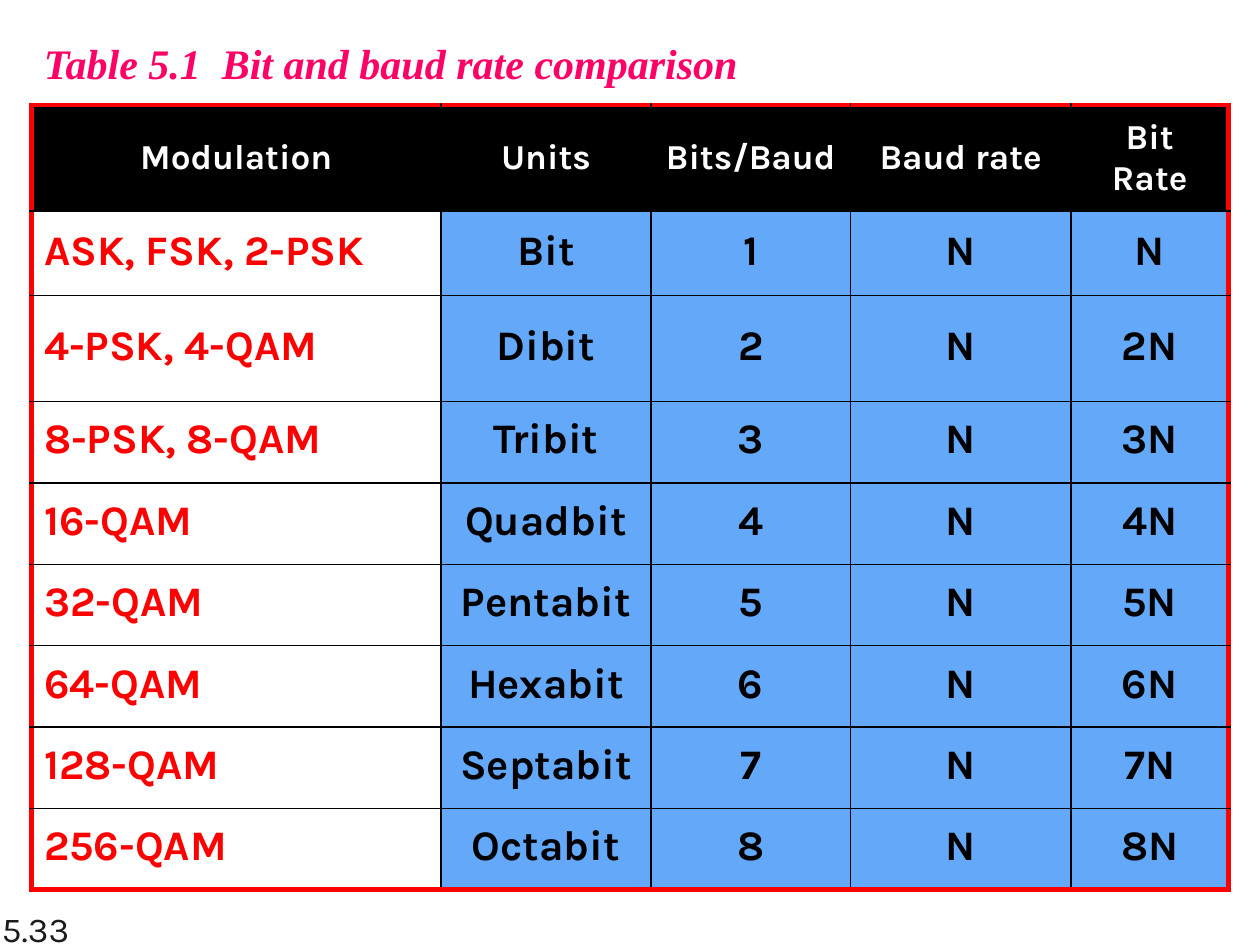
from dataclasses import dataclass

from lxml.etree import SubElement
from pptx import Presentation
from pptx.dml.color import RGBColor
from pptx.enum.text import MSO_ANCHOR, PP_ALIGN
from pptx.oxml.ns import qn
from pptx.util import Pt

BLACK = RGBColor(0x00, 0x00, 0x00)
WHITE = RGBColor(0xFF, 0xFF, 0xFF)
RED = RGBColor(0xFF, 0x00, 0x00)
BLUE = RGBColor(0x64, 0xA8, 0xFA)
PINK = RGBColor(0xFF, 0x00, 0x66)
CHARCOAL = RGBColor(0x1C, 0x1C, 0x1C)

HEADINGS = ("Modulation", "Units", "Bits/Baud", "Baud rate", "Bit Rate")
MODULATIONS = (
    ("ASK, FSK, 2-PSK", "Bit"),
    ("4-PSK, 4-QAM", "Dibit"),
    ("8-PSK, 8-QAM", "Tribit"),
    ("16-QAM", "Quadbit"),
    ("32-QAM", "Pentabit"),
    ("64-QAM", "Hexabit"),
    ("128-QAM", "Septabit"),
    ("256-QAM", "Octabit"),
)
COLUMN_WIDTHS = (234, 120, 114, 126, 90)
ROW_HEIGHTS = (60.5, 48.5, 60.5) + (46.5,) * 6


@dataclass(frozen=True)
class TextStyle:
    size: float
    color: RGBColor
    font: str = "Karla"
    bold: bool = False
    italic: bool = False


@dataclass(frozen=True)
class CellStyle:
    text: TextStyle
    fill: RGBColor
    align: PP_ALIGN = PP_ALIGN.CENTER
    line_spacing: float = 0.8


@dataclass(frozen=True)
class Caption:
    text: str
    left: float
    top: float
    width: float
    height: float
    style: TextStyle
    anchor: MSO_ANCHOR
    wrap: bool


HEADING = CellStyle(TextStyle(20, WHITE, bold=True), BLACK, line_spacing=1.0)
MODULATION = CellStyle(TextStyle(24, RED, bold=True), WHITE, PP_ALIGN.LEFT)
VALUE = CellStyle(TextStyle(24, BLACK, bold=True), BLUE)

CAPTIONS = (
    Caption("5.33", -6, 510, 150, 36, TextStyle(20, CHARCOAL),
            MSO_ANCHOR.BOTTOM, True),
    Caption("Table 5.1  Bit and baud rate comparison", 18, 18, 413, 36,
            TextStyle(24, PINK, "Times New Roman", bold=True, italic=True),
            MSO_ANCHOR.TOP, False),
)


def style_text(paragraph, style: TextStyle) -> None:
    font = paragraph.font
    font.name, font.size = style.font, Pt(style.size)
    font.bold, font.italic = style.bold, style.italic
    font.color.rgb = style.color


def add_caption(slide, caption: Caption) -> None:
    box = slide.shapes.add_textbox(Pt(caption.left), Pt(caption.top),
                                   Pt(caption.width), Pt(caption.height))
    frame = box.text_frame
    frame.word_wrap = caption.wrap
    frame.vertical_anchor = caption.anchor
    frame.text = caption.text
    style_text(frame.paragraphs[0], caption.style)


def add_border(cell, side: str, outer: bool) -> None:
    width, color = (3, RED) if outer else (1, BLACK)
    line = SubElement(cell._tc.get_or_add_tcPr(), qn(f"a:ln{side}"), w=str(Pt(width)))
    SubElement(SubElement(line, qn("a:solidFill")), qn("a:srgbClr"), val=str(color))


def fill_cell(cell, text: str, style: CellStyle, outer_sides: dict[str, bool]) -> None:
    # Borders come before the fill in the cell properties
    for side, outer in outer_sides.items():
        add_border(cell, side, outer)
    cell.fill.solid()
    cell.fill.fore_color.rgb = style.fill
    cell.vertical_anchor = MSO_ANCHOR.MIDDLE
    cell.text = text
    paragraph = cell.text_frame.paragraphs[0]
    paragraph.alignment = style.align
    paragraph.line_spacing = style.line_spacing
    style_text(paragraph, style.text)


def add_rate_table(slide) -> None:
    # Each further bit per baud multiplies the bit rate N
    rows = [HEADINGS] + [
        (modulation, unit, str(bits), "N", "N" if bits == 1 else f"{bits}N")
        for bits, (modulation, unit) in enumerate(MODULATIONS, start=1)
    ]
    table = slide.shapes.add_table(
        len(rows), len(HEADINGS), Pt(18), Pt(60),
        Pt(sum(COLUMN_WIDTHS)), Pt(sum(ROW_HEIGHTS))).table
    table.first_row = table.horz_banding = False
    for column, width in zip(table.columns, COLUMN_WIDTHS):
        column.width = Pt(width)
    for row, height in zip(table.rows, ROW_HEIGHTS):
        row.height = Pt(height)

    last_row, last_column = len(rows) - 1, len(HEADINGS) - 1
    for r, texts in enumerate(rows):
        for c, text in enumerate(texts):
            style = HEADING if r == 0 else MODULATION if c == 0 else VALUE
            outer_sides = {"L": c == 0, "R": c == last_column,
                           "T": r == 0, "B": r == last_row}
            fill_cell(table.cell(r, c), text, style, outer_sides)


def main() -> None:
    deck = Presentation()
    deck.slide_width, deck.slide_height = Pt(720), Pt(540)
    slide = deck.slides.add_slide(deck.slide_layouts[6])

    # Page number and title
    for caption in CAPTIONS:
        add_caption(slide, caption)

    # Comparison of bit and baud rates
    add_rate_table(slide)
    deck.save("out.pptx")


if __name__ == "__main__":
    main()
